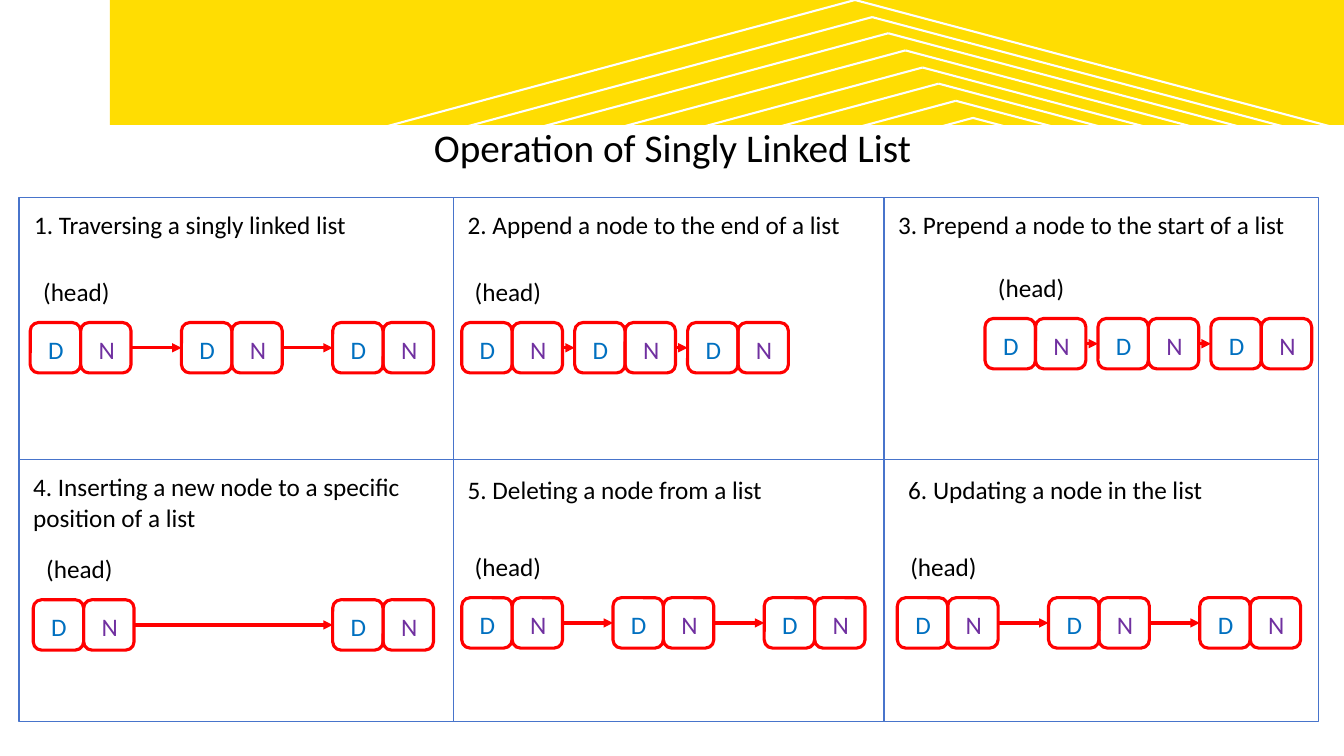
from lxml.etree import SubElement
from pptx import Presentation
from pptx.dml.color import RGBColor
from pptx.enum.shapes import MSO_CONNECTOR as CONN, MSO_SHAPE as SHAPE
from pptx.enum.text import MSO_AUTO_SIZE as AUTO, PP_ALIGN as ALIGN
from pptx.oxml.ns import qn
from pptx.util import Pt

YELLOW = RGBColor(0xFF, 0xDD, 0x02)
WHITE = RGBColor(0xFF, 0xFF, 0xFF)
BLACK = RGBColor(0, 0, 0)
RED = RGBColor(0xFF, 0, 0)
BORDER = RGBColor(0x48, 0x74, 0xCB)
DATA = RGBColor(0, 0x70, 0xC0)
NEXT = RGBColor(0x70, 0x30, 0xA0)

TITLE = "Operation of Singly Linked List"
FIELDS = [("D", DATA), ("N", NEXT)]
# text, text box, first node, node count, node pitch
OPERATIONS = [
    ("1. Traversing a singly linked list", (24, 203, 355, 40), (30, 320), 3, 150),
    ("2. Append a node to the end of a list", (454, 203, 398, 40), (458, 320), 3, 112),
    ("3. Prepend a node to the start of a list", (881, 203, 423, 40), (977, 316), 3, 112),
    ("4. Inserting a new node to a specific position of a list",
     (23, 463, 426, 71), (33, 595), 2, 297),
    ("5. Deleting a node from a list", (454, 466, 355, 40), (458, 593), 3, 150),
    ("6. Updating a node in the list", (891, 466, 400, 40), (890, 593), 3, 150),
]
COLUMNS = [(19, 431), (450, 427), (877, 431)]
ROW_TOP, ROW_H = 196, 260
BOX = 50
RAFTERS = 8


def px(n):
    return n * 9144


def add_text(shapes, text, box, size=18, color=BLACK, align=ALIGN.LEFT):
    sp = shapes.add_textbox(*map(px, box))
    tf = sp.text_frame
    tf.word_wrap = True
    tf.auto_size = AUTO.SHAPE_TO_FIT_TEXT
    p = tf.paragraphs[0]
    p.alignment = align
    r = p.add_run()
    r.text = text
    r.font.name = "Calibri"
    r.font.size = Pt(size)
    r.font.color.rgb = color


def add_box(shapes, kind, box, fill=None, line=None, width=1):
    sp = shapes.add_shape(kind, *map(px, box))
    sp.shadow.inherit = False
    if fill is None:
        sp.fill.background()
    else:
        sp.fill.solid()
        sp.fill.fore_color.rgb = fill
    if line is None:
        sp.line.fill.background()
    else:
        sp.line.color.rgb = line
        sp.line.width = Pt(width)


def add_line(shapes, ends, color, width, arrow=False):
    sp = shapes.add_connector(CONN.STRAIGHT, *map(px, ends))
    sp.line.color.rgb = color
    sp.line.width = Pt(width)
    if arrow:
        SubElement(sp.line._get_or_add_ln(), qn("a:tailEnd"), type="triangle")
    SubElement(sp._element.spPr, qn("a:effectLst"))


def add_node(shapes, x, y):
    group = shapes.add_group_shape().shapes
    for i, _ in enumerate(FIELDS):
        add_box(group, SHAPE.ROUNDED_RECTANGLE, (x + i * BOX, y, BOX, BOX),
                line=RED, width=2.25)
    for i, (letter, color) in enumerate(FIELDS):
        add_text(group, letter, (x + 8 + i * BOX, y + 7, 33, 40), color=color)


def add_chain(shapes, x, y, count, pitch):
    add_text(shapes, "(head)", (x + 3, y - 51, 94, 40))
    starts = [x + i * pitch for i in range(count)]
    for start in starts:
        add_node(shapes, start, y)
    mid = y + BOX // 2
    for a, b in zip(starts, starts[1:]):
        add_line(shapes, (a + 2 * BOX, mid, b, mid), RED, 2.25, arrow=True)


def add_banner(shapes):
    add_box(shapes, SHAPE.RECTANGLE, (109, 0, 1224, 124), fill=YELLOW)
    for run in (-478, 485):
        for i in range(RAFTERS):
            step = round(i * 50 / 3)
            x = 848 + step
            add_line(shapes, (x, step, x + run, step + 129), WHITE, 1.5)
    add_box(shapes, SHAPE.RECTANGLE, (0, 130, 1333, 620), fill=WHITE)


def main():
    prs = Presentation()
    prs.slide_width, prs.slide_height = px(1333), px(750)
    s = prs.slides.add_slide(prs.slide_layouts[6])
    shapes = s.shapes
    add_banner(shapes)
    add_text(shapes, TITLE, (124, 117, 1086, 57), size=28, align=ALIGN.CENTER)
    for i, (text, text_box, (x, y), count, pitch) in enumerate(OPERATIONS):
        row, col = divmod(i, len(COLUMNS))
        left, width = COLUMNS[col]
        add_box(shapes, SHAPE.RECTANGLE,
                (left, ROW_TOP + row * ROW_H, width, ROW_H), line=BORDER)
        add_text(shapes, text, text_box)
        add_chain(shapes, x, y, count, pitch)
    prs.save("out.pptx")


if __name__ == "__main__":
    main()
